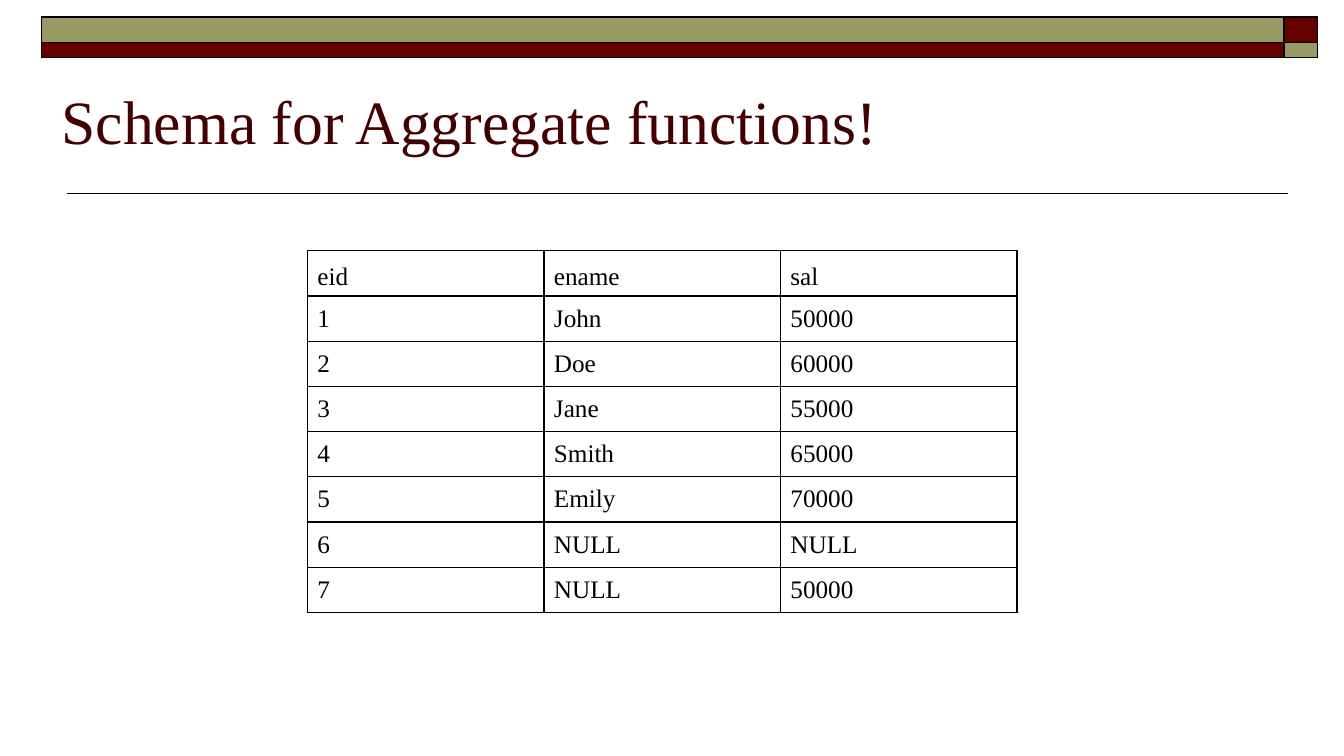
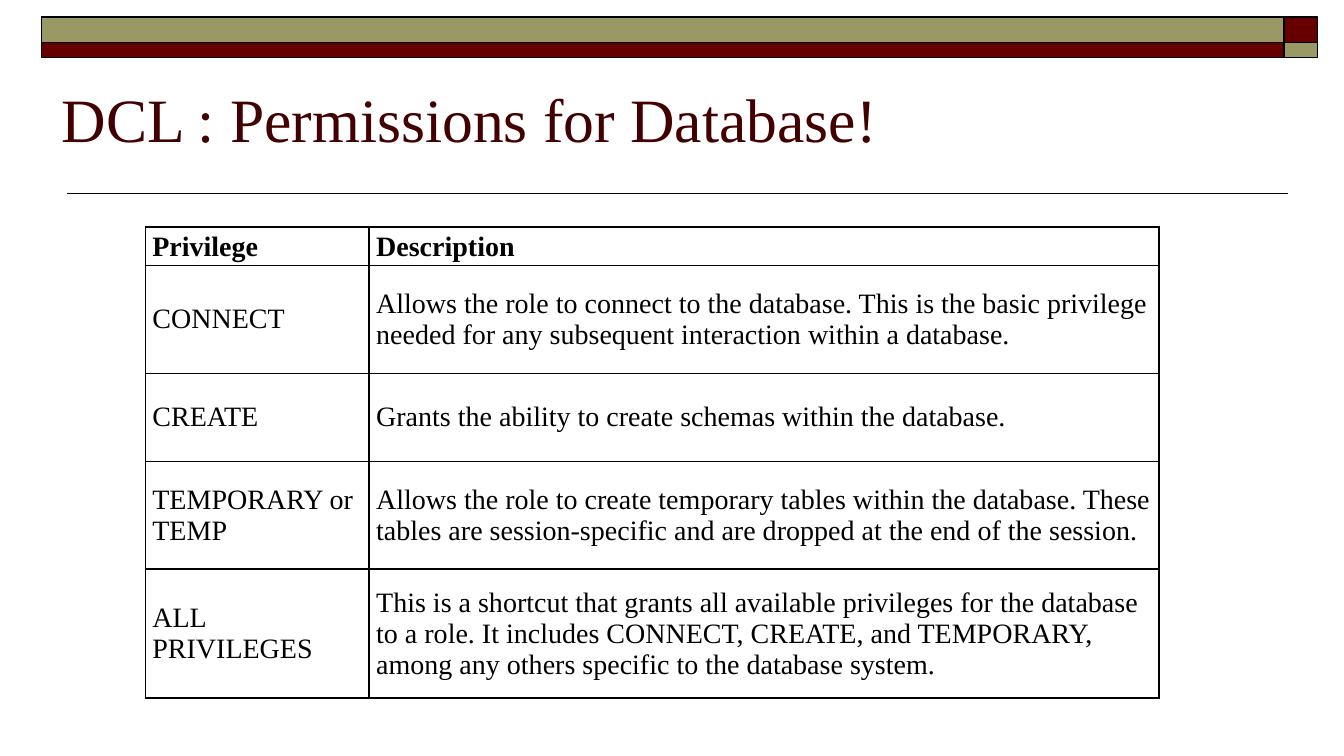
from lxml import etree
from pptx import Presentation
from pptx.dml.color import RGBColor
from pptx.enum import shapes, text
from pptx.oxml import ns
from pptx.util import Cm, Pt

COLORS = {"maroon": "660000", "olive": "999966", "title": "420000", "ink": "000000"}
FONT = "Times New Roman"
TITLE_FORMAT = {"name": FONT, "size": Pt(44), "bold": False}

EMPLOYEES = [
    ("eid", "ename", "sal"),
    ("1", "John", "50000"),
    ("2", "Doe", "60000"),
    ("3", "Jane", "55000"),
    ("4", "Smith", "65000"),
    ("5", "Emily", "70000"),
    ("6", "NULL", "NULL"),
    ("7", "NULL", "50000"),
]
PRIVILEGES = [
    ("Privilege", "Description"),
    ("CONNECT", "Allows the role to connect to the database. This is the basic "
     "privilege needed for any subsequent interaction within a database."),
    ("CREATE", "Grants the ability to create schemas within the database."),
    ("TEMPORARY or TEMP", "Allows the role to create temporary tables within the database. "
     "These tables are session-specific and are dropped at the end of the session."),
    ("ALL PRIVILEGES", "This is a shortcut that grants all available privileges for the "
     "database to a role. It includes CONNECT, CREATE, and TEMPORARY, among any others "
     "specific to the database system."),
]


def rgb(key):
    return RGBColor.from_string(COLORS[key])


def set_font(font, values, color):
    for name, value in values.items():
        setattr(font, name, value)
    font.color.rgb = rgb(color)


def add_bands(slide, left, top, width, height):
    """Two stacked bands whose colours swap in the right-hand corner."""
    corner, upper = 0.84, 0.64
    columns = [(left, width - corner), (left + width - corner, corner)]
    rows = [(top, upper), (top + upper, height - upper)]
    for i, (y, h) in enumerate(rows):
        for j, (x, w) in enumerate(columns):
            sp = slide.shapes.add_shape(shapes.MSO_SHAPE.RECTANGLE, Cm(x), Cm(y), Cm(w), Cm(h))
            sp.shadow.inherit = False
            sp.fill.solid()
            sp.fill.fore_color.rgb = rgb("olive" if i == j else "maroon")
            sp.line.color.rgb = rgb("ink")
            sp.line.width = Pt(1)


def add_rule(slide, left, top, width):
    line = slide.shapes.add_connector(
        shapes.MSO_CONNECTOR.STRAIGHT, Cm(left), Cm(top), Cm(left + width), Cm(top))
    line.line.color.rgb = rgb("ink")
    line.line.width = Pt(1)
    etree.SubElement(line._element.spPr, ns.qn("a:effectLst"))


def set_title(slide, title, left, top, width, height):
    sp = slide.shapes.title
    sp.left, sp.top, sp.width, sp.height = Cm(left), Cm(top), Cm(width), Cm(height)
    tf = sp.text_frame
    tf.text = title
    tf.word_wrap = True
    tf.auto_size = text.MSO_AUTO_SIZE.NONE
    tf.vertical_anchor = text.MSO_ANCHOR.BOTTOM
    p = tf.paragraphs[0]
    p.alignment = text.PP_ALIGN.LEFT
    set_font(p.runs[0].font, TITLE_FORMAT, "title")


def add_borders(cell):
    props = cell._tc.get_or_add_tcPr()
    for i, side in enumerate(("lnL", "lnR", "lnT", "lnB")):
        ln = etree.Element(ns.qn(f"a:{side}"), w=str(Pt(1)))
        fill = etree.SubElement(ln, ns.qn("a:solidFill"))
        etree.SubElement(fill, ns.qn("a:srgbClr"), val=COLORS["ink"])
        props.insert(i, ln)


def add_grid(slide, left, top, cols, heights, rows, size, bold_head=False, margins=(0.25, 0.13)):
    frame = slide.shapes.add_table(
        len(rows), len(cols), Cm(left), Cm(top), Cm(sum(cols)), Cm(sum(heights)))
    table = frame.table
    table.first_row = table.horz_banding = False
    for column, width in zip(table.columns, cols):
        column.width = Cm(width)
    for i, (row, height, values) in enumerate(zip(table.rows, heights, rows)):
        row.height = Cm(height)
        head = i == 0
        for cell, value in zip(row.cells, values):
            cell.text = value
            cell.fill.background()
            cell.vertical_anchor = text.MSO_ANCHOR.BOTTOM if head else text.MSO_ANCHOR.MIDDLE
            cell.margin_left = cell.margin_right = Cm(margins[0])
            cell.margin_top = cell.margin_bottom = Cm(margins[1])
            font = cell.text_frame.paragraphs[0].runs[0].font
            set_font(font, {"name": FONT, "size": Pt(size), "bold": head and bold_head}, "ink")
            add_borders(cell)


def add_table_slide(prs, title, title_top, **grid):
    slide = prs.slides.add_slide(prs.slide_layouts[5])
    add_rule(slide, 1.7, 4.88, 30.76)
    add_bands(slide, 1.04, 0.43, 32.16, 1.02)
    set_title(slide, title, 1.3, title_top, 30.48, 3.18)
    add_grid(slide, **grid)


def main():
    prs = Presentation()
    prs.slide_width, prs.slide_height = Cm(33.87), Cm(19.05)

    # Sample data
    add_table_slide(
        prs, "Schema for Aggregate functions!", 0.89,
        left=7.75, top=6.32, cols=[5.96] * 3, heights=[1.14] * len(EMPLOYEES),
        rows=EMPLOYEES, size=18)

    # Database privileges
    add_table_slide(
        prs, "DCL : Permissions for Database!", 0.86,
        left=3.66, top=5.72, cols=[5.64, 19.91], heights=[0.97, 2.72, 2.21, 2.72, 3.25],
        rows=PRIVILEGES, size=20, bold_head=True, margins=(0.18, 0.08))

    prs.save("out.pptx")


if __name__ == "__main__":
    main()
